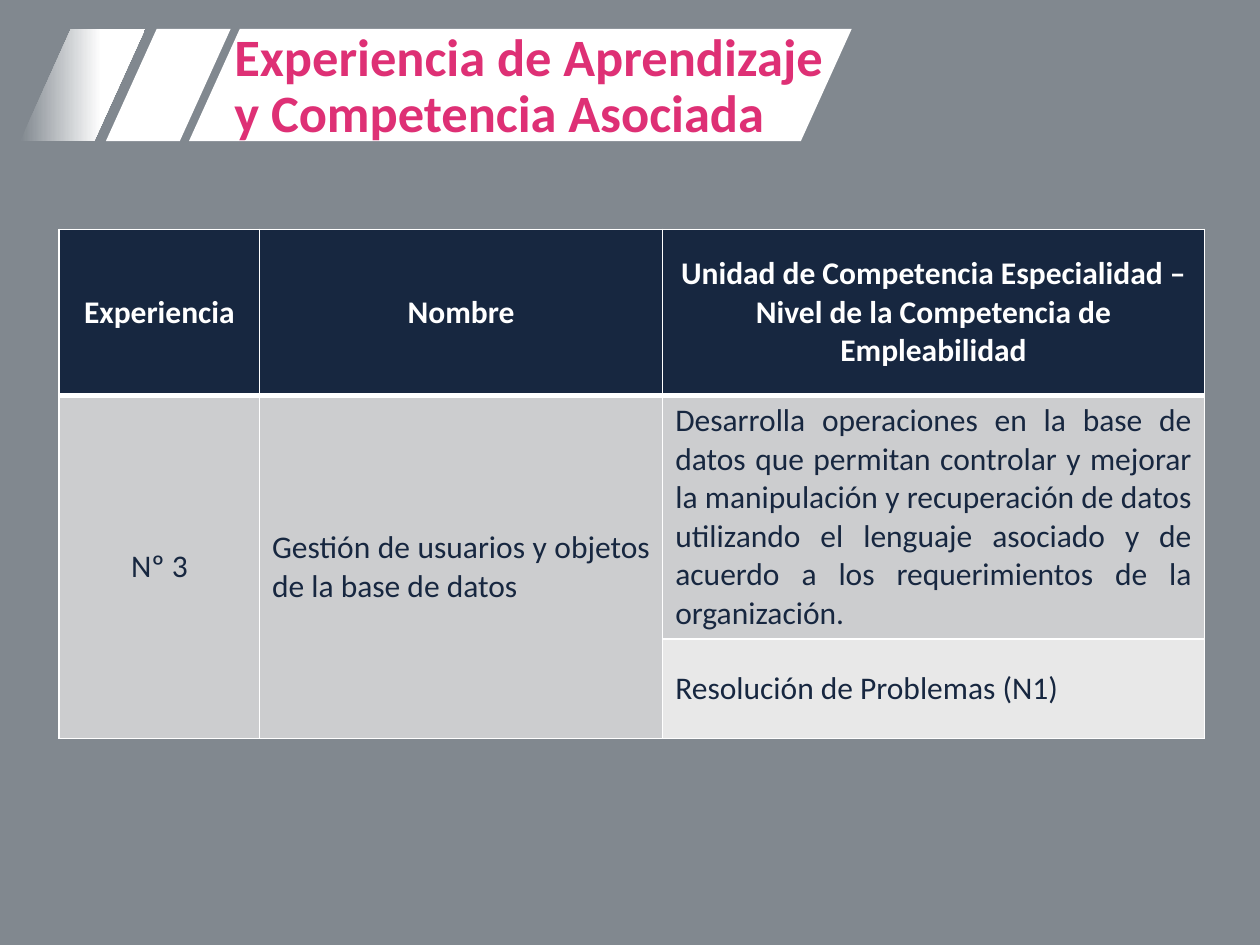
from lxml import etree
from pptx import Presentation
from pptx.dml.color import RGBColor
from pptx.enum.shapes import MSO_SHAPE
from pptx.enum.text import MSO_ANCHOR, MSO_AUTO_SIZE, PP_ALIGN
from pptx.oxml.ns import qn
from pptx.util import Inches, Pt

PARALLELOGRAM = MSO_SHAPE.PARALLELOGRAM
MIDDLE = MSO_ANCHOR.MIDDLE
LEFT, CENTER, JUSTIFY = PP_ALIGN.LEFT, PP_ALIGN.CENTER, PP_ALIGN.JUSTIFY

GRAY = RGBColor(0x81, 0x88, 0x8F)
WHITE = RGBColor(0xFF, 0xFF, 0xFF)
NAVY = RGBColor(0x17, 0x27, 0x40)
PINK = RGBColor(0xDE, 0x30, 0x75)
BAND_DARK = RGBColor(0xCC, 0xCD, 0xCF)
BAND_LIGHT = RGBColor(0xE8, 0xE8, 0xE8)
FONT = "Calibri"

TITLE = "Experiencia de Aprendizaje\vy Competencia Asociada"
BANNER = [(0.84, 0.99), (0.16, 0.99), (1.5, 5.26)]
FADED_BAND = 1
BANNER_TOP, BANNER_HEIGHT = 0.23, 0.89

ROWS = [
    ["Experiencia", "Nombre",
     "Unidad de Competencia Especialidad – Nivel de la Competencia de Empleabilidad"],
    ["Nº 3", "Gestión de usuarios y objetos de la base de datos",
     "Desarrolla operaciones en la base de datos que permitan controlar y mejorar "
     "la manipulación y recuperación de datos utilizando el lenguaje asociado y de "
     "acuerdo a los requerimientos de la organización."],
    ["", "", "Resolución de Problemas (N1)"],
]
ROW_FILLS = [NAVY, BAND_DARK, BAND_LIGHT]
COLUMN_WIDTHS = [1.59, 3.2, 4.3]
ROW_HEIGHTS = [1.32, 1.9, 0.79]
MERGED_COLUMNS = [0, 1]


def style_text(paragraph, size, color, bold):
    for run in paragraph.runs:
        run.font.name = FONT
        run.font.size = Pt(size)
        run.font.bold = bold
        run.font.color.rgb = color


def add_banner(slide):
    for index, (left, width) in enumerate(BANNER):
        band = slide.shapes.add_shape(
            PARALLELOGRAM, Inches(left), Inches(BANNER_TOP),
            Inches(width), Inches(BANNER_HEIGHT))
        band.adjustments[0] = 0.453
        band.shadow.inherit = False
        band.line.fill.background()
        if index == FADED_BAND:
            band.fill.gradient()
            band.fill.gradient_angle = 0
            stops = band.fill.gradient_stops
            for stop, position, color in zip(stops, (0, 0.65), (GRAY, WHITE)):
                stop.position = position
                stop.color.rgb = color
        else:
            band.fill.solid()
            band.fill.fore_color.rgb = WHITE


def add_title(slide):
    title = slide.shapes.title
    slide.shapes.element.append(title.element)
    title.left, title.top = Inches(1.76), Inches(0.25)
    title.width, title.height = Inches(5.02), Inches(0.89)
    frame = title.text_frame
    frame.text = TITLE
    frame.word_wrap = True
    frame.auto_size = MSO_AUTO_SIZE.NONE
    frame.vertical_anchor = MIDDLE
    paragraph = frame.paragraphs[0]
    paragraph.alignment = LEFT
    paragraph.line_spacing = 0.9
    style_text(paragraph, 30, PINK, True)


def set_borders(cell, row):
    widths = {"a:lnL": 1, "a:lnR": 1,
              "a:lnT": 3 if row == 1 else 1, "a:lnB": 3 if row == 0 else 1}
    properties = cell._tc.get_or_add_tcPr()
    for position, (side, width) in enumerate(widths.items()):
        line = etree.Element(qn(side), w=str(Pt(width)))
        fill = etree.SubElement(line, qn("a:solidFill"))
        etree.SubElement(fill, qn("a:srgbClr"), val=str(WHITE))
        properties.insert(position, line)


def add_competence_table(slide):
    table = slide.shapes.add_table(
        len(ROWS), len(COLUMN_WIDTHS), Inches(0.47), Inches(1.82),
        Inches(sum(COLUMN_WIDTHS)), Inches(sum(ROW_HEIGHTS))).table
    for column, width in zip(table.columns, COLUMN_WIDTHS):
        column.width = Inches(width)
    for row, height in zip(table.rows, ROW_HEIGHTS):
        row.height = Inches(height)
    for column in MERGED_COLUMNS:
        table.cell(1, column).merge(table.cell(2, column))
    for row, texts in enumerate(ROWS):
        header = row == 0
        for column, text in enumerate(texts):
            cell = table.cell(row, column)
            cell.fill.solid()
            cell.fill.fore_color.rgb = ROW_FILLS[row]
            set_borders(cell, row)
            if cell.is_spanned:
                continue
            cell.vertical_anchor = MIDDLE
            cell.text_frame.text = text
            paragraph = cell.text_frame.paragraphs[0]
            paragraph.alignment = CENTER if header or column == 0 else JUSTIFY
            style_text(paragraph, 18, WHITE if header else NAVY, header)


def main():
    presentation = Presentation()
    presentation.slide_width, presentation.slide_height = Inches(10), Inches(7.5)
    slide = presentation.slides.add_slide(presentation.slide_layouts[5])
    slide.background.fill.solid()
    slide.background.fill.fore_color.rgb = GRAY
    add_banner(slide)
    add_competence_table(slide)
    add_title(slide)
    presentation.save("out.pptx")


if __name__ == "__main__":
    main()
